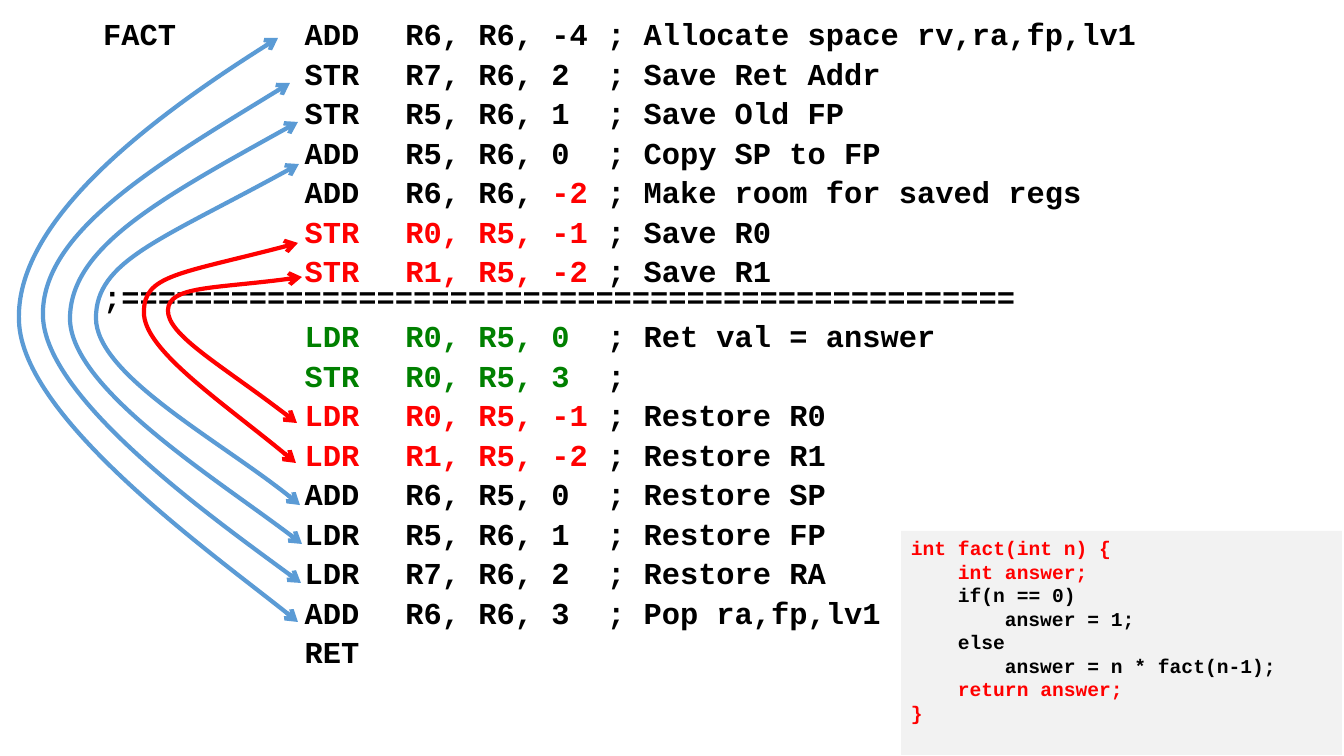
"""Build the slide that pairs LC4 prologue and epilogue code with the C function."""
from pptx import Presentation
from pptx.dml.color import RGBColor
from pptx.enum.shapes import MSO_SHAPE as Shape
from pptx.enum.text import MSO_ANCHOR as Anchor, MSO_AUTO_SIZE as AutoSize, PP_ALIGN as Align
from pptx.oxml.ns import qn
from pptx.oxml.xmlchemy import OxmlElement
from pptx.util import Pt

PIXEL = 914400 / 100.8
COLORS = {"black": "000000", "red": "FF0000", "green": "008000",
          "blue": "5B9BD5", "panel": "F2F2F2"}
FONT = "Courier New"
BREAK = "\v"

ASSEMBLY = [
    [("black", "FACT\t\tADD\tR6, R6, -4\t; Allocate space rv,ra,fp,lv1")],
    [("black", "\t\tSTR\tR7, R6, 2\t; Save Ret Addr")],
    [("black", "\t\tSTR\tR5, R6, 1\t; Save Old FP")],
    [("black", "\t\tADD\tR5, R6, 0\t; Copy SP to FP")],
    [("black", "\t\tADD\tR6, R6, "), ("red", "-2"), ("black", "\t; Make room for saved regs")],
    [("red", "\t\tSTR\tR0, R5, -1"), ("black", "\t; Save R0")],
    [("red", "\t\tSTR\tR1, R5, -2"), ("black", "\t; Save R1"), ("black", BREAK),
     ("black", ";" + "=" * 49)],
    [("green", "\t\tLDR\tR0, R5, 0"), ("black", "\t; Ret val = answer")],
    [("green", "\t\tSTR\tR0, R5, 3"), ("black", "\t;")],
    [("red", "\t\tLDR\tR0, R5, -1"), ("black", "\t; Restore R0")],
    [("red", "\t\tLDR\tR1, R5, -2"), ("black", "\t; Restore R1")],
    [("black", "\t\tADD\tR6, R5, 0\t; Restore SP")],
    [("black", "\t\tLDR\tR5, R6, 1\t; Restore FP")],
    [("black", "\t\tLDR\tR7, R6, 2\t; Restore RA")],
    [("black", "\t\tADD\tR6, R6, 3\t; Pop ra,fp,lv1")],
    [("black", "\t\tRET")],
]
C_SOURCE = [
    (0, "red", "int fact(int n) {"),
    (1, "red", "int answer;"),
    (1, "black", "if(n == 0)"),
    (2, "black", "answer = 1;"),
    (1, "black", "else"),
    (2, "black", "answer = n * fact(n-1);"),
    (1, "red", "return answer;"),
    (0, "red", "}"),
]
PAIRINGS = [
    ("blue", [(278, 38), (149, 118), (15, 224), (19, 321), (22, 418), (227, 564), (298, 622)]),
    ("blue", [(290, 83), (161, 162), (41, 233), (43, 316), (45, 399), (228, 529), (301, 583)]),
    ("blue", [(298, 122), (163, 197), (70, 248), (70, 319), (71, 389), (231, 488), (302, 544)]),
    ("blue", [(299, 164), (164, 239), (96, 261), (96, 318), (96, 375), (232, 447), (300, 505)]),
    ("red", [(298, 243), (182, 274), (144, 275), (144, 312), (143, 349), (227, 405), (296, 463)]),
    ("red", [(302, 277), (219, 289), (169, 286), (168, 310), (167, 335), (227, 368), (297, 423)]),
]
ASSEMBLY_BOX = (93, 20, 1159, 724)
C_BOX = (901, 531, 441, 224)
TAB_STEP = 100.8
INDENT_STEP = 47


def px(length):
    return round(length * PIXEL)


def color(name):
    return RGBColor.from_string(COLORS[name])


def place(part, box):
    for side, length in zip(("left", "top", "width", "height"), box):
        setattr(part, side, px(length))


def set_all(target, formats):
    for name, value in formats.items():
        setattr(target, name, value)


def write_lines(part, lines, size, spacing, indents=None):
    frame = part.text_frame
    set_all(frame, {"auto_size": AutoSize.NONE, "word_wrap": True,
                    "vertical_anchor": Anchor.TOP})
    for index, line in enumerate(lines):
        paragraph = frame.add_paragraph() if index else frame.paragraphs[0]
        set_all(paragraph, {"alignment": Align.LEFT, **spacing})
        properties = paragraph._p.get_or_add_pPr()
        margins = {"marL": px(indents[index] if indents else 0), "indent": 0,
                   "defTabSz": px(TAB_STEP)}
        for name, length in margins.items():
            properties.set(name, str(length))
        properties.append(OxmlElement("a:buNone"))
        for ink, words in line:
            if words == BREAK:
                paragraph.add_line_break()
                continue
            run = paragraph.add_run()
            run.text = words
            set_all(run.font, {"name": FONT, "size": Pt(size), "bold": True})
            run.font.color.rgb = color(ink)


def draw_pairing(shapes, ink, points):
    builder = shapes.build_freeform(*points[0], scale=PIXEL)
    builder.add_line_segments(points[1:], close=False)
    curve = builder.convert_to_shape()
    curve.shadow.inherit = False
    curve.fill.background()
    curve.line.color.rgb = color(ink)
    curve.line.width = Pt(3)
    segments = list(curve.element.iter(qn("a:lnTo")))
    for start in range(0, len(segments), 3):
        bezier = OxmlElement("a:cubicBezTo")
        segments[start].addprevious(bezier)
        for segment in segments[start:start + 3]:
            bezier.append(segment[0])
            segment.getparent().remove(segment)
    outline = curve.line._get_or_add_ln()
    for end in ("a:headEnd", "a:tailEnd"):
        arrowhead = OxmlElement(end)
        arrowhead.set("type", "arrow")
        outline.append(arrowhead)


deck = Presentation()
set_all(deck, {"slide_width": px(1344), "slide_height": px(756)})
slide = deck.slides.add_slide(deck.slide_layouts[1])
title, assembly = slide.placeholders
title.element.getparent().remove(title.element)

place(assembly, ASSEMBLY_BOX)
write_lines(assembly, ASSEMBLY, 21.7, {"line_spacing": 0.7, "space_before": Pt(10)})

c_panel = slide.shapes.add_shape(Shape.RECTANGLE, *map(px, C_BOX))
c_panel.shadow.inherit = False
c_panel.fill.solid()
c_panel.fill.fore_color.rgb = color("panel")
c_panel.line.fill.background()
write_lines(c_panel, [[(ink, words)] for _, ink, words in C_SOURCE], 14, {},
            indents=[depth * INDENT_STEP for depth, _, _ in C_SOURCE])

for ink, points in PAIRINGS:
    draw_pairing(slide.shapes, ink, points)

deck.save("out.pptx")
